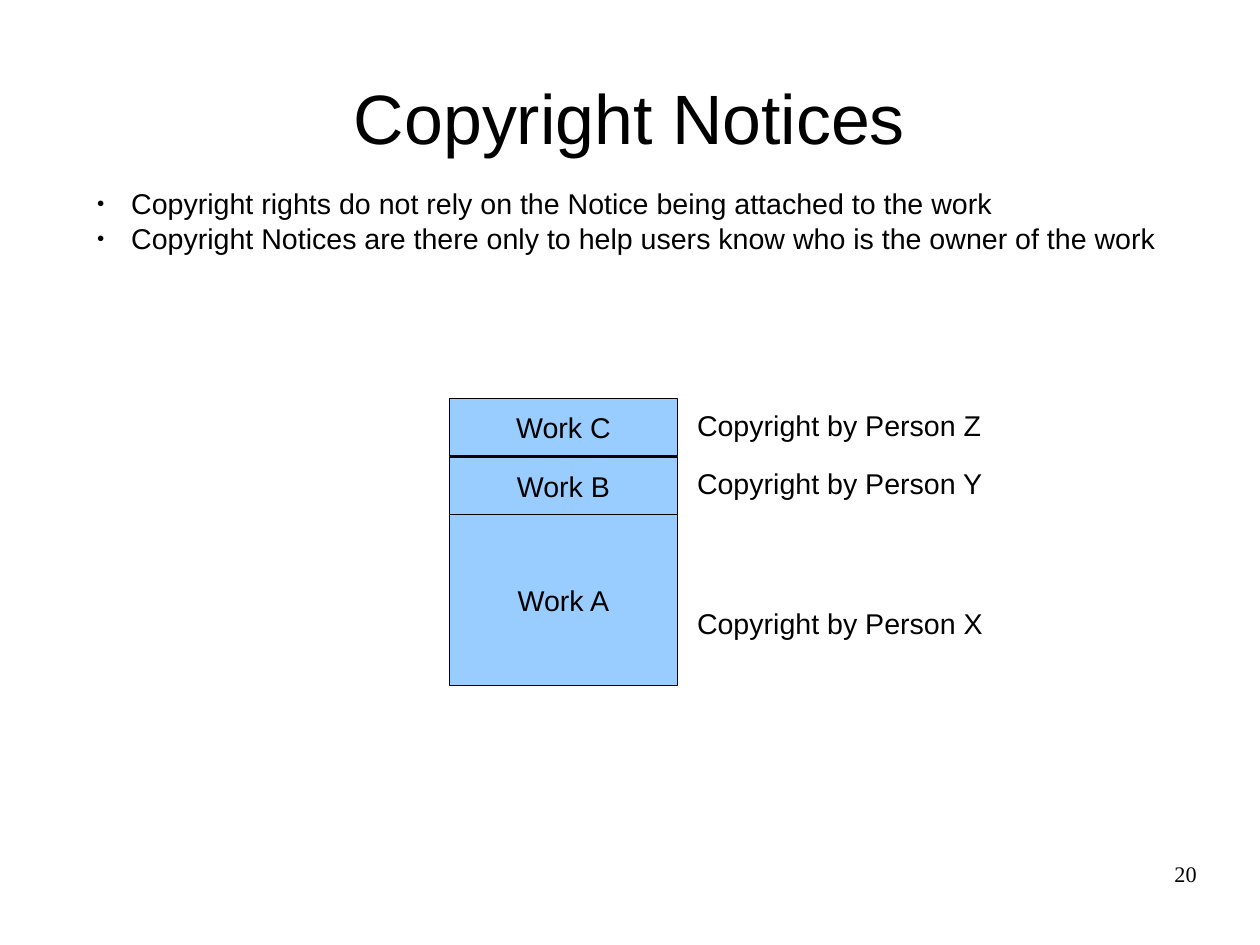
from lxml.etree import SubElement
from pptx import Presentation
from pptx.dml.color import RGBColor
from pptx.enum.shapes import MSO_SHAPE
from pptx.enum.text import MSO_ANCHOR, PP_ALIGN
from pptx.oxml.ns import qn
from pptx.util import Inches, Pt

COLORS = {"text": "000000", "line": "000000", "work": "99CCFF"}

# Slide of 28 by 21 cm
prs = Presentation()
prs.slide_width, prs.slide_height = Inches(28 / 2.54), Inches(21 / 2.54)
s = prs.slides.add_slide(prs.slide_layouts[6])


def write(sp, *lines, size=18, font="Arial", align=PP_ALIGN.LEFT,
          anchor=MSO_ANCHOR.TOP, wrap=True, inset=True):
    tf = sp.text_frame
    tf.word_wrap = wrap
    tf.vertical_anchor = anchor
    tf.margin_left = tf.margin_right = Inches(0.1 if inset else 0)
    tf.margin_top = tf.margin_bottom = Inches(0.05 if inset else 0)
    for i, line in enumerate(lines):
        p = tf.paragraphs[0] if i == 0 else tf.add_paragraph()
        p.alignment = align
        r = p.add_run()
        r.text = line
        r.font.size = Pt(size)
        r.font.name = font
        r.font.color.rgb = RGBColor.from_string(COLORS["text"])
    return tf


def text_box(left, top, width, height):
    return s.shapes.add_textbox(Inches(left), Inches(top), Inches(width), Inches(height))


# Title
write(text_box(0.55, 0.33, 9.92, 1.38), "Copyright Notices", size=44,
      align=PP_ALIGN.CENTER, anchor=MSO_ANCHOR.MIDDLE, inset=False)

# Bullets
tf = write(text_box(0.75, 1.58, 9.5, 0.66),
           "Copyright rights do not rely on the Notice being attached to the work",
           "Copyright Notices are there only to help users know who is the owner of the work")
for p in tf.paragraphs:
    pPr = p._p.get_or_add_pPr()
    pPr.set("marL", str(Inches(0.3)))
    pPr.set("indent", str(-Inches(0.3)))
    SubElement(pPr, qn("a:buSzPct"), val="45000")
    SubElement(pPr, qn("a:buFont"), typeface="Arial")
    SubElement(pPr, qn("a:buChar"), char="●")

# Stacked works with their owners: work, top, height, person, label top
works = [
    ("A", 4.5, 1.5, "X", 5.25),
    ("B", 4.0, 0.5, "Y", 4.03),
    ("C", 3.49, 0.5, "Z", 3.52),
]
for work, top, height, person, label_top in works:
    sp = s.shapes.add_shape(MSO_SHAPE.RECTANGLE, Inches(3.93), Inches(top),
                            Inches(2), Inches(height))
    sp.shadow.inherit = False
    sp.fill.solid()
    sp.fill.fore_color.rgb = RGBColor.from_string(COLORS["work"])
    sp.line.color.rgb = RGBColor.from_string(COLORS["line"])
    sp.line.width = Pt(0)
    write(sp, f"Work {work}", align=PP_ALIGN.CENTER, anchor=MSO_ANCHOR.MIDDLE)
    write(text_box(6, label_top, 2.7, 0.38), f"Copyright by Person {person}", wrap=False)

# Slide number
write(text_box(7.9, 7.53, 2.57, 0.57), "20", size=14, font="Times New Roman",
      align=PP_ALIGN.RIGHT, inset=False)

prs.save("out.pptx")
